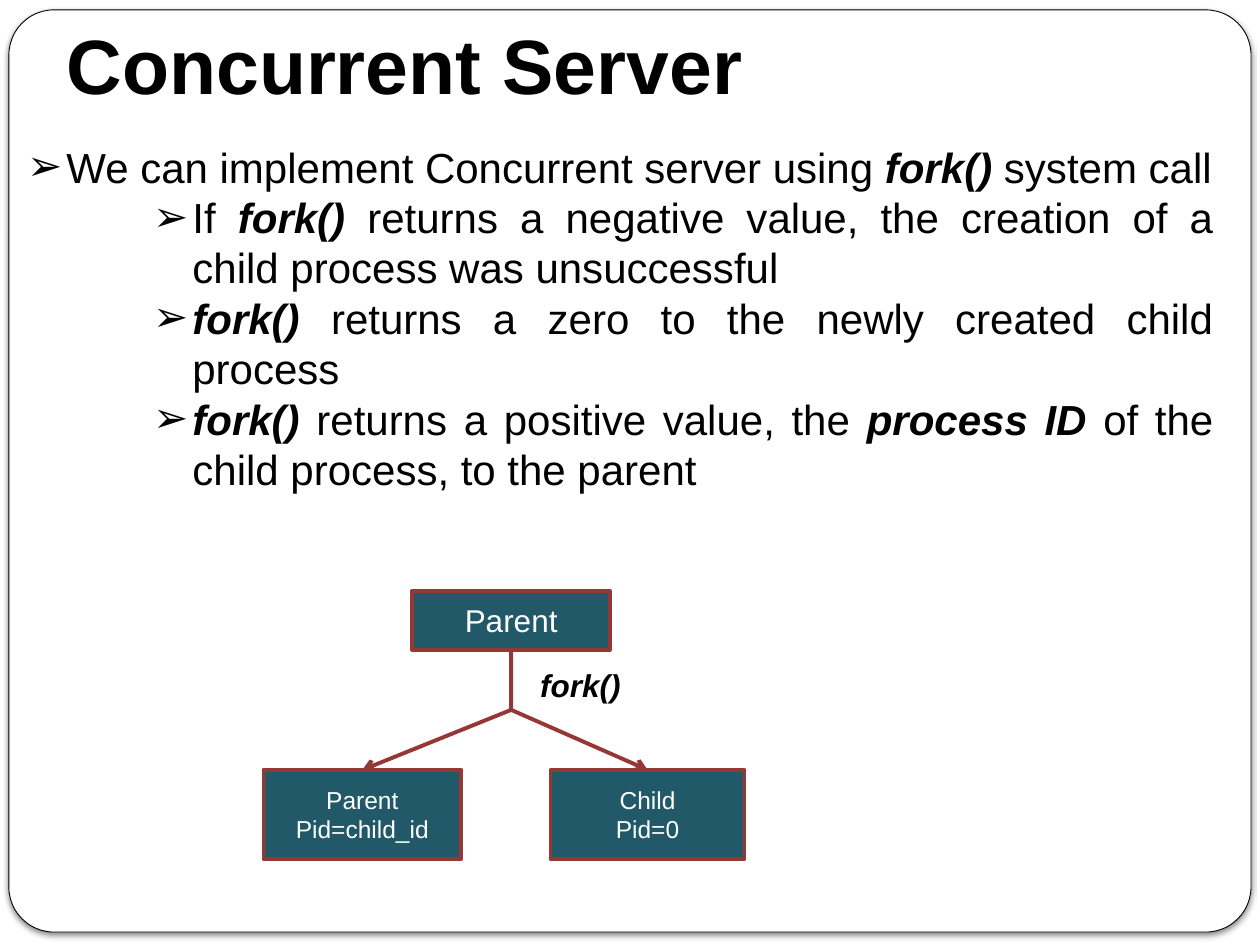
from dataclasses import dataclass

from lxml import etree
from pptx import Presentation
from pptx.dml.color import RGBColor
from pptx.enum.shapes import MSO_CONNECTOR, MSO_SHAPE
from pptx.enum.text import MSO_ANCHOR, MSO_AUTO_SIZE, PP_ALIGN
from pptx.oxml import parse_xml
from pptx.oxml.ns import nsdecls, qn
from pptx.util import Cm, Pt

LEFT, MID, FULL = PP_ALIGN.LEFT, PP_ALIGN.CENTER, PP_ALIGN.JUSTIFY
RECT, ROUND = MSO_SHAPE.RECTANGLE, MSO_SHAPE.ROUNDED_RECTANGLE
LINE = MSO_CONNECTOR.STRAIGHT
CENTRE = MSO_ANCHOR.MIDDLE
TOP, BASE = 0, 2  # connection sites
PLAIN, STRONG = False, True


@dataclass(frozen=True)
class Theme:
    font: str = "Arial"
    ink: RGBColor = RGBColor(0, 0, 0)
    paper: RGBColor = RGBColor(255, 255, 255)
    teal: RGBColor = RGBColor(0x21, 0x59, 0x68)
    red: RGBColor = RGBColor(0x95, 0x37, 0x35)
    head: int = 44
    body: int = 24
    label: int = 18
    small: int = 14


THEME = Theme()

# Each point: level, then runs of (text, strong)
POINTS = [
    (0, [("We can implement Concurrent server using ", PLAIN),
         ("fork() ", STRONG), ("system call", PLAIN)]),
    (1, [("If ", PLAIN), ("fork() ", STRONG),
         ("returns a negative value, the creation of a child process "
          "was unsuccessful", PLAIN)]),
    (1, [("fork()", STRONG),
         (" returns a zero to the newly created child process", PLAIN)]),
    (1, [("fork()", STRONG), (" returns a positive value, the ", PLAIN),
         ("process ID", STRONG),
         (" of the child process, to the parent", PLAIN)]),
]


def place(box):
    return [Cm(v) for v in box]


def add_run(para, text, size, color, bold=False, slant=False):
    run = para.add_run()
    run.text = text
    font = run.font
    font.name, font.size = THEME.font, Pt(size)
    font.bold, font.italic = bold, slant
    font.color.rgb = color


def add_box(slide, kind, box, fill, edge, width):
    shape = slide.shapes.add_shape(kind, *place(box))
    shape.shadow.inherit = False
    shape.fill.solid()
    shape.fill.fore_color.rgb = fill
    shape.line.color.rgb = edge
    shape.line.width = Pt(width)
    return shape


def add_frame(slide, box):
    """Rounded page border with a soft shadow, behind everything."""
    frame = add_box(slide, ROUND, box, THEME.paper, THEME.ink, 0.5)
    frame.adjustments[0] = 0.049
    props = frame.element.spPr
    props.remove(props.find(qn("a:effectLst")))
    props.append(parse_xml(
        f'<a:effectLst {nsdecls("a")}><a:outerShdw blurRad="{Pt(3)}" '
        f'dist="{Pt(2)}" dir="5400000" rotWithShape="0">'
        '<a:srgbClr val="000000"><a:alpha val="50000"/></a:srgbClr>'
        '</a:outerShdw></a:effectLst>'))
    slide.shapes.element.insert(2, frame.element)


def add_title(slide, box, text):
    title = slide.shapes.title
    title.left, title.top, title.width, title.height = place(box)
    frame = title.text_frame
    frame.auto_size = MSO_AUTO_SIZE.NONE
    frame.vertical_anchor = CENTRE
    para = frame.paragraphs[0]
    para.alignment = LEFT
    add_run(para, text, THEME.head, THEME.ink, bold=True)


def add_bullet(para, level):
    hang = Cm(0.79)
    props = para._p.get_or_add_pPr()
    props.set("marL", str(hang + level * Cm(2.54)))
    props.set("indent", str(-hang))
    etree.SubElement(props, qn("a:buFont")).set("typeface", THEME.font)
    etree.SubElement(props, qn("a:buChar")).set("char", "➢")


def add_points(slide, box, points):
    frame = slide.shapes.add_textbox(*place(box)).text_frame
    frame.word_wrap = True
    for i, (level, runs) in enumerate(points):
        para = frame.add_paragraph() if i else frame.paragraphs[0]
        para.alignment, para.level = FULL, level
        add_bullet(para, level)
        for text, strong in runs:
            add_run(para, text, THEME.body, THEME.ink, strong, strong)


def add_node(slide, box, lines, size):
    node = add_box(slide, RECT, box, THEME.teal, THEME.red, 2)
    frame = node.text_frame
    frame.vertical_anchor = CENTRE
    for i, text in enumerate(lines):
        para = frame.add_paragraph() if i else frame.paragraphs[0]
        para.alignment = MID
        add_run(para, text, size, THEME.paper)
    return node


def add_line(slide, start, end, arrow=False):
    line = slide.shapes.add_connector(LINE, *place(start + end))
    line.line.color.rgb = THEME.red
    line.line.width = Pt(2.25)
    props = line.element.spPr
    if arrow:
        etree.SubElement(props.find(qn("a:ln")), qn("a:tailEnd")).set("type", "arrow")
    etree.SubElement(props, qn("a:effectLst"))
    return line


def add_tree(slide, box):
    """Parent process that forks into a parent and a child."""
    x, y, wide, high = box
    side, low = 3.99, 1.8
    base = y + high - low
    root_x = x + 3
    joint = (root_x + side / 2, y + 2.4)

    root = add_node(slide, (root_x, y, side, 1.19), ["Parent"], THEME.label)
    stem = add_line(slide, (joint[0], y + 1.19), joint)
    stem.begin_connect(root, BASE)

    # Two results of the call
    slim = 3.91
    for left, width, lines in [
            (x, side, ["Parent", "Pid=child_id"]),
            (x + wide - slim, slim, ["Child", "Pid=0"])]:
        node = add_node(slide, (left, base, width, low), lines, THEME.small)
        arm = add_line(slide, joint, (left + width / 2, base), arrow=True)
        arm.end_connect(node, TOP)

    # Label beside the stem
    note = slide.shapes.add_textbox(*place((x + 5.33, y + 1.4, 3.71, 1.02)))
    note.text_frame.word_wrap = True
    add_run(note.text_frame.paragraphs[0], "fork()", THEME.label, THEME.ink,
            bold=True, slant=True)


def main():
    deck = Presentation()
    deck.slide_width, deck.slide_height = Cm(25.4), Cm(19.05)
    slide = deck.slides.add_slide(deck.slide_layouts[5])
    add_frame(slide, (0.18, 0.2, 25.04, 18.59))
    add_title(slide, (1.09, 0.08, 21.59, 2.39), "Concurrent Server")
    add_points(slide, (0.3, 2.72, 24.41, 8.46), POINTS)
    add_tree(slide, (5.31, 11.91, 9.7, 5.41))
    deck.save("out.pptx")


if __name__ == "__main__":
    main()
